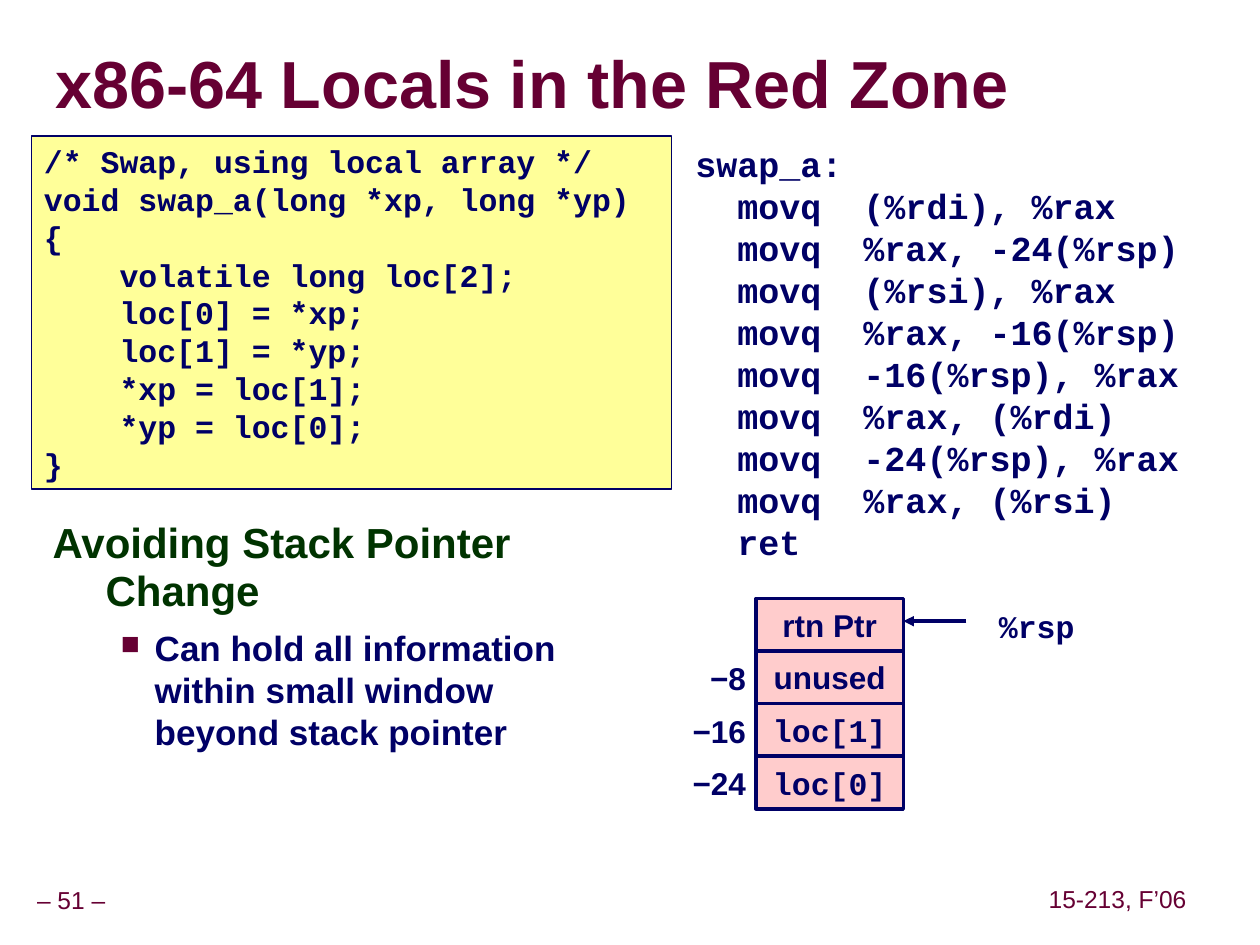
from dataclasses import dataclass

from lxml.etree import SubElement
from pptx import Presentation
from pptx.dml.color import RGBColor
from pptx.enum.shapes import MSO_CONNECTOR as CONN, MSO_SHAPE as SHAPE
from pptx.enum.text import MSO_ANCHOR as ANCHOR, PP_ALIGN as ALIGN
from pptx.oxml.ns import qn
from pptx.util import Inches, Pt


@dataclass(frozen=True)
class Theme:
    maroon: str = "660033"
    green: str = "003300"
    navy: str = "000066"
    yellow: str = "FFFF99"
    pink: str = "FFCCCC"
    shadow: str = "969696"
    sans: str = "Arial"
    mono: str = "Courier New"
    title: int = 38
    heading: int = 24
    body: int = 20
    label: int = 18
    footer: int = 14


THEME = Theme()

C_CODE = """/* Swap, using local array */
void swap_a(long *xp, long *yp) {
    volatile long loc[2];
    loc[0] = *xp;
    loc[1] = *yp;
    *xp = loc[1];
    *yp = loc[0];
}"""

ASSEMBLY = """swap_a:
  movq  (%rdi), %rax
  movq  %rax, -24(%rsp)
  movq  (%rsi), %rax
  movq  %rax, -16(%rsp)
  movq  -16(%rsp), %rax
  movq  %rax, (%rdi)
  movq  -24(%rsp), %rax
  movq  %rax, (%rsi)
  ret"""

STACK = [
    ("rtn Ptr", THEME.sans, None),
    ("unused", THEME.sans, "−8"),
    ("loc[1]", THEME.mono, "−16"),
    ("loc[0]", THEME.mono, "−24"),
]


def rgb(color):
    return RGBColor.from_string(color)


class SlideBuilder:
    def __init__(self, slide, theme):
        self.s = slide
        self.t = theme

    def style(self, p, size, color=None, font=None, bold=True, align=ALIGN.LEFT, spacing=1.0):
        p.alignment = align
        p.line_spacing = spacing
        p.font.size = Pt(size)
        p.font.bold = bold
        p.font.name = font or self.t.sans
        p.font.color.rgb = rgb(color or self.t.navy)

    def frame(self, sp, inset_x=0.1, inset_y=0.05, wrap=True, anchor=ANCHOR.TOP):
        tf = sp.text_frame
        tf.word_wrap = wrap
        tf.vertical_anchor = anchor
        tf.margin_left = tf.margin_right = Inches(inset_x)
        tf.margin_top = tf.margin_bottom = Inches(inset_y)
        return tf

    def textbox(self, box, **frame):
        return self.frame(self.s.shapes.add_textbox(*map(Inches, box)), **frame)

    def text(self, box, text, size, inset_x=0.1, wrap=True, anchor=ANCHOR.TOP, **style):
        tf = self.textbox(box, inset_x=inset_x, wrap=wrap, anchor=anchor)
        self.lines(tf, text, size, **style)

    def lines(self, tf, text, size, **style):
        """Put each line of the text in its own paragraph."""
        for i, line in enumerate(text.split("\n")):
            p = tf.add_paragraph() if i else tf.paragraphs[0]
            p.add_run().text = line
            self.style(p, size, **style)

    def title(self, box, text):
        tf = self.textbox(box, inset_x=0, inset_y=0, anchor=ANCHOR.MIDDLE)
        self.lines(tf, text, self.t.title, color=self.t.maroon, spacing=0.87)
        r_pr = tf.paragraphs[0].runs[0].font._element
        shadow = SubElement(SubElement(r_pr, qn("a:effectLst")), qn("a:outerShdw"),
                            dist="53882", dir="2700000")
        SubElement(shadow, qn("a:srgbClr"), val=self.t.shadow)

    def outline(self, box, heading, bullet):
        tf = self.textbox(box)
        p = tf.paragraphs[0]
        p.add_run().text = heading
        self.indent(p, 0.42, -0.42)
        self.style(p, self.t.heading, color=self.t.green, spacing=0.95)

        p = tf.add_paragraph()
        p.add_run().text = bullet
        p_pr = self.indent(p, 0.81, -0.27)
        SubElement(SubElement(p_pr, qn("a:buClr")), qn("a:srgbClr"), val=self.t.maroon)
        SubElement(p_pr, qn("a:buSzPct"), val="75000")
        SubElement(p_pr, qn("a:buChar"), char="■")
        p.space_before = Pt(6.2)
        self.style(p, self.t.body)

    def indent(self, p, left, first):
        p_pr = p._p.get_or_add_pPr()
        p_pr.set("marL", str(Inches(left)))
        p_pr.set("indent", str(Inches(first)))
        return p_pr

    def box(self, box, text, fill, line_width, wrap=True, anchor=ANCHOR.TOP, **style):
        sp = self.s.shapes.add_shape(SHAPE.RECTANGLE, *map(Inches, box))
        sp.shadow.inherit = False
        sp.fill.solid()
        sp.fill.fore_color.rgb = rgb(fill)
        sp.line.color.rgb = rgb(self.t.navy)
        sp.line.width = Pt(line_width)
        self.lines(self.frame(sp, wrap=wrap, anchor=anchor), text, self.t.label, **style)

    def arrow(self, x1, y1, x2, y2):
        c = self.s.shapes.add_connector(CONN.STRAIGHT, *map(Inches, (x1, y1, x2, y2)))
        c.line.color.rgb = rgb(self.t.navy)
        c.line.width = Pt(2)
        SubElement(c.line._get_or_add_ln(), qn("a:tailEnd"), type="triangle")
        SubElement(c._element.spPr, qn("a:effectLst"))

    def stack(self, left, top, width, height, rows):
        """Draw stacked memory cells with their offsets on the left."""
        for i, (name, font, offset) in enumerate(rows):
            y = top + i * height
            self.box((left, y, width, height), name, self.t.pink, 2, wrap=False,
                     anchor=ANCHOR.MIDDLE, font=font, align=ALIGN.CENTER)
            if offset:
                self.text((left - 0.83, y + 0.05, 0.8, 0.37), offset, self.t.label,
                          inset_x=0.05, align=ALIGN.RIGHT, spacing=0.9)

    def footer(self, box, text):
        self.text(box, text, self.t.footer, inset_x=0.05, wrap=False, anchor=ANCHOR.MIDDLE,
                  color=self.t.maroon, bold=False, align=ALIGN.CENTER, spacing=0.9)


def main():
    prs = Presentation()
    prs.slide_width, prs.slide_height = Inches(10), Inches(7.5)
    b = SlideBuilder(prs.slides.add_slide(prs.slide_layouts[6]), THEME)

    b.footer((-0.09, 7, 1.31, 0.31), "– 51 –")
    b.footer((8.27, 6.99, 1.2, 0.31), "15-213, F’06")
    b.title((0.44, 0.27, 9.53, 0.85), "x86-64 Locals in the Red Zone")
    b.outline((0.32, 4.08, 4.43, 2.96), "Avoiding Stack Pointer Change",
              "Can hold all information within small window beyond stack pointer")
    b.box((0.25, 1.08, 5.08, 2.8), C_CODE, THEME.yellow, 1, font=THEME.mono)
    b.text((5.42, 1.08, 4.33, 3.43), ASSEMBLY, THEME.body, font=THEME.mono)
    b.stack(6, 4.75, 1.17, 1.67 / 4, STACK)
    b.arrow(7.67, 4.93, 7.17, 4.93)
    b.text((7.83, 4.77, 0.8, 0.4), "%rsp", THEME.label, wrap=False, font=THEME.mono)

    prs.save("out.pptx")


if __name__ == "__main__":
    main()
